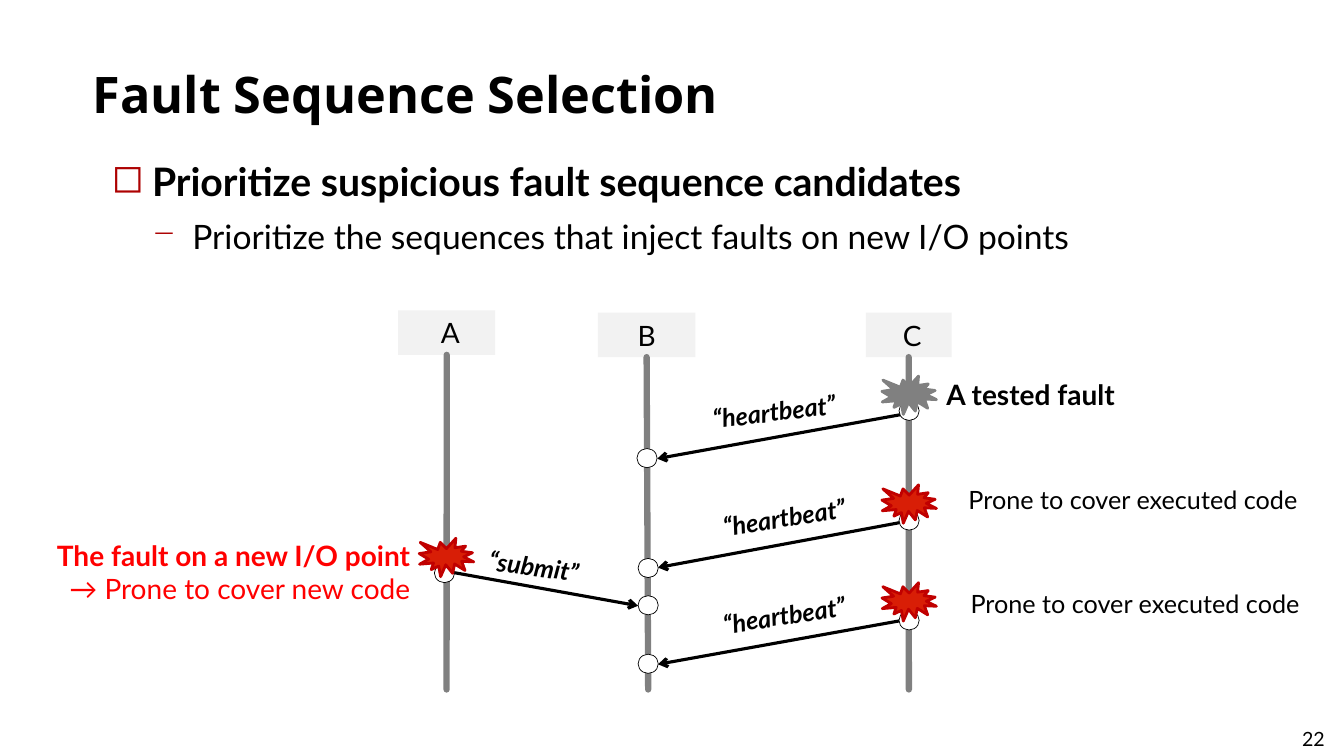
"""Build the Fault Sequence Selection slide with its three-node message diagram."""
from lxml import etree
from pptx import Presentation
from pptx.dml.color import RGBColor
from pptx.enum.shapes import MSO_CONNECTOR, MSO_SHAPE as SHAPE
from pptx.enum.text import MSO_ANCHOR as ANCHOR, PP_ALIGN as ALIGN
from pptx.oxml.ns import qn
from pptx.util import Pt

BLACK = RGBColor(0, 0, 0)
WHITE = RGBColor(255, 255, 255)
GRAY = RGBColor(0x80, 0x80, 0x80)
PALE = RGBColor(0xF2, 0xF2, 0xF2)
RED = RGBColor(0xFF, 0, 0)
BURST_RED = RGBColor(0xD8, 0x1E, 0x06)
BURST_EDGE = RGBColor(0xC0, 0, 0)
BULLET_RED = "AD0101"

prs = Presentation()
prs.slide_width, prs.slide_height = Pt(960), Pt(540)
slide = prs.slides.add_slide(prs.slide_layouts[6])
shapes = slide.shapes


def add_text(box, lines, size, bold=False, color=BLACK, align=ALIGN.LEFT, wrap=False, font="Lato"):
    """Write lines into a box and return its paragraphs."""
    frame = box.text_frame
    frame.text = "\n".join(lines)
    frame.word_wrap = wrap
    for paragraph in frame.paragraphs:
        paragraph.alignment = align
        for run in paragraph.runs:
            run.font.name, run.font.size, run.font.bold = font, Pt(size), bold
            run.font.color.rgb = color
    return frame.paragraphs


def add_line(x1, y1, x2, y2, color, width):
    """Draw a shadowless straight connector and return it with its line element."""
    line = shapes.add_connector(MSO_CONNECTOR.STRAIGHT, Pt(x1), Pt(y1), Pt(x2), Pt(y2))
    line.line.color.rgb, line.line.width = color, Pt(width)
    etree.SubElement(line._element.spPr, qn("a:effectLst"))
    return line, line.line._get_or_add_ln()


page_number = shapes.add_textbox(Pt(923), Pt(515.5), Pt(34.6), Pt(24.5))
add_text(page_number, ["22"], 14)

title = shapes.add_textbox(Pt(59), Pt(24.5), Pt(852.5), Pt(67))
title.text_frame.vertical_anchor = ANCHOR.BOTTOM
heading = add_text(title, ["Fault Sequence Selection"], 36, True, wrap=True, font="Open Sans")[0]
heading.line_spacing = Pt(46.7)

body = shapes.add_textbox(Pt(72.7), Pt(108.7), Pt(814.3), Pt(78.5))
points = add_text(body, ["Prioritize suspicious fault sequence candidates",
                         "Prioritize the sequences that inject faults on new I/O points"], 28, True, wrap=True)
for level, (point, symbol, percent) in enumerate(zip(points, "◻−", (100, 90))):
    point.level = level
    props = point._p.get_or_add_pPr()
    props.set("marL", str(Pt(28.8 * (level + 1))))
    props.set("indent", str(-Pt(28.8)))
    bullet_color = etree.SubElement(props, qn("a:buClr"))
    etree.SubElement(bullet_color, qn("a:srgbClr"), val=BULLET_RED)
    etree.SubElement(props, qn("a:buSzPct"), val=str(percent * 1000))
    etree.SubElement(props, qn("a:buChar"), char=symbol)
points[1].space_before = Pt(8)
points[1].runs[0].font.size, points[1].runs[0].font.bold = Pt(24), False

for name, left, top, width, foot, nudge in (("A", 284.4, 221.8, 69.4, 319, 5),
                                            ("B", 427, 223.4, 69.8, 463, 0),
                                            ("C", 618.5, 223.4, 61.2, 649.2, 5)):
    node = shapes.add_shape(SHAPE.RECTANGLE, Pt(left), Pt(top), Pt(width), Pt(31.7))
    node.shadow.inherit = False
    node.fill.solid()
    node.fill.fore_color.rgb = PALE
    node.line.fill.background()
    node.text_frame.margin_left = Pt(7.2 + nudge)
    node.text_frame.vertical_anchor = ANCHOR.MIDDLE
    add_text(node, [name], 20, align=ALIGN.CENTER, wrap=True)
    lifeline, stroke = add_line(left + width / 2, top + 31.7, foot, 492.5, GRAY, 4.5)
    stroke.set("cap", "rnd")
    lifeline.begin_connect(node, 2)

for x1, y1, x2, y2 in ((644.4, 296, 469.5, 327.6), (644.4, 373, 470, 405.4),
                       (642.5, 443.5, 470, 474.5), (319.7, 408.2, 455.8, 432.7)):
    message, stroke = add_line(x1, y1, x2, y2, BLACK, 2.25)
    etree.SubElement(stroke, qn("a:tailEnd"), type="arrow")

for label, left, top, width, angle in (("“heartbeat”", 501.8, 279.4, 103.7, 353),
                                       ("“heartbeat”", 509, 355, 103.7, 351),
                                       ("“heartbeat”", 509, 424.8, 103.7, 351),
                                       ("“submit”", 342, 390.2, 80, 8)):
    message_label = shapes.add_textbox(Pt(left), Pt(top), Pt(width), Pt(29))
    message_label.rotation = angle
    add_text(message_label, [label], 18, True)[0].runs[0].font.italic = True

new_fault = shapes.add_textbox(Pt(30.2), Pt(380.9), Pt(270), Pt(55.4))
new_fault_lines = add_text(new_fault, ["The fault on a new I/O point", "→ Prone to cover new code"],
                           20, True, RED, ALIGN.RIGHT)
new_fault_lines[1].runs[0].font.bold = False

tested_fault = shapes.add_textbox(Pt(668.9), Pt(266.4), Pt(136.8), Pt(31.7))
add_text(tested_fault, ["A tested fault"], 20, True)

io_points = [(x, y, 14.4, 13.7, SHAPE.OVAL, WHITE, BLACK, 0.5)
             for x, y in ((455, 320.4), (642.2, 286.6), (455.8, 398.9), (642.2, 365),
                          (310.3, 402.5), (455.8, 425.5), (455.8, 467.3), (642.2, 436.3))]
faults = [(x, y, 38.9, 27.4, SHAPE.EXPLOSION1, fill, edge, 2)
          for x, y, fill, edge in ((299.5, 384.5, BURST_RED, BURST_EDGE), (630, 268.6, GRAY, GRAY),
                                   (630, 346.3, BURST_RED, BURST_EDGE), (630, 416.2, BURST_RED, BURST_EDGE))]
for left, top, width, height, kind, fill, edge, weight in io_points + faults:
    mark = shapes.add_shape(kind, Pt(left), Pt(top), Pt(width), Pt(height))
    mark.shadow.inherit = False
    mark.fill.solid()
    mark.fill.fore_color.rgb = fill
    mark.line.color.rgb, mark.line.width = edge, Pt(weight)

for left, top in ((684.7, 342.7), (686.2, 416.9)):
    executed_note = shapes.add_textbox(Pt(left), Pt(top), Pt(256.3), Pt(29))
    add_text(executed_note, ["Prone to cover executed code"], 18, wrap=True)

prs.save("out.pptx")
